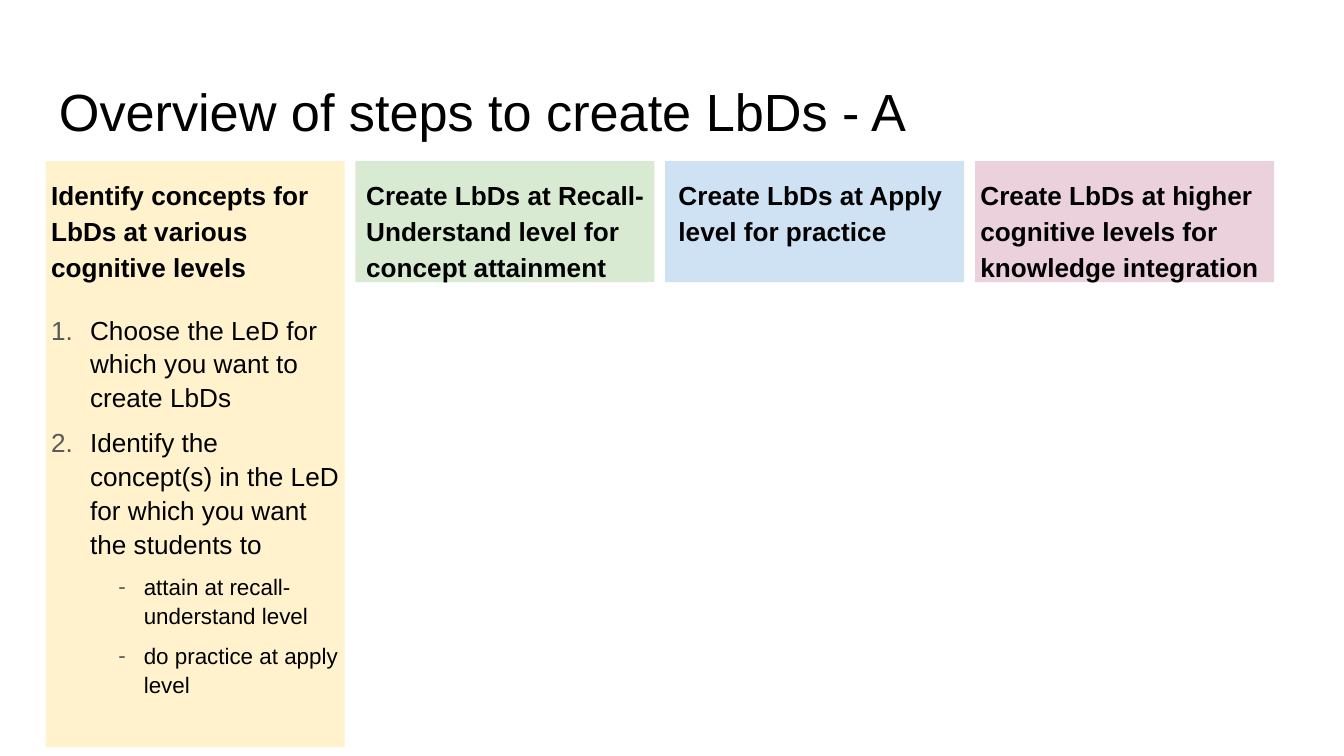
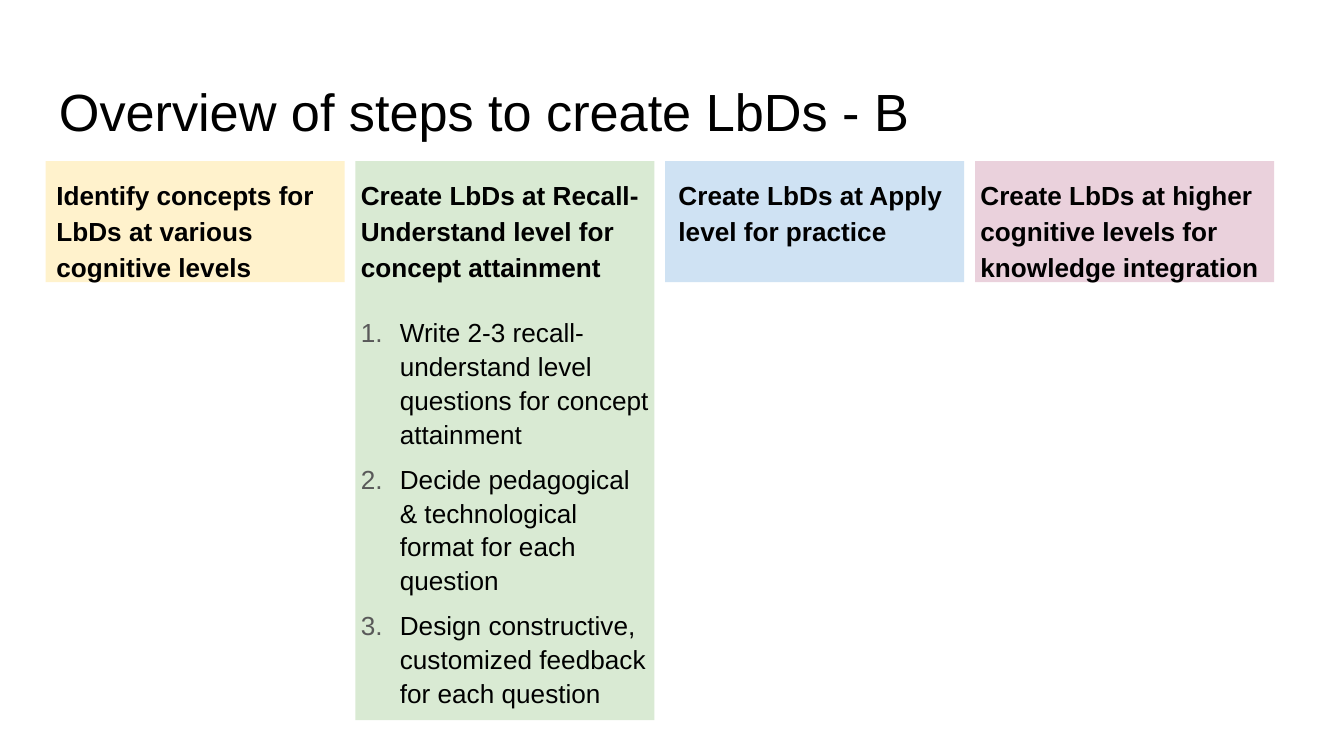
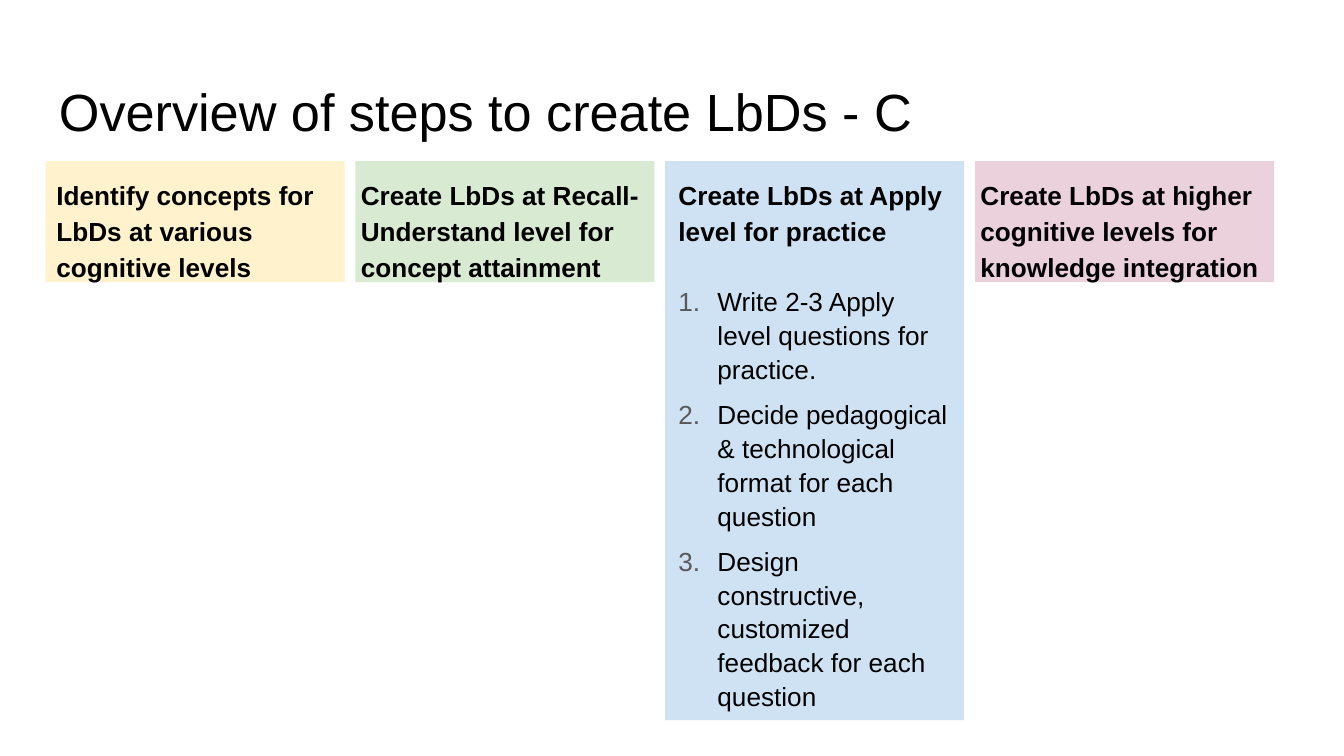
from dataclasses import dataclass

from lxml import etree
from pptx import Presentation
from pptx import util as u
from pptx.dml.color import RGBColor
from pptx.enum import shapes, text
from pptx.oxml import ns

FONT = "Arial"
HUES = {
    "ink": "000000",
    "mark": "595959",
    "cream": "FFF2CC",
    "green": "D9EAD3",
    "blue": "CFE2F3",
    "pink": "EAD1DC",
}
LEFT, TOP, SPAN, SPACE, SHORT = 0.34, 1.2, 9.14, 0.08, 0.9


@dataclass(frozen=True)
class Stage:
    head: str
    hue: str
    right: float = 0.03


@dataclass(frozen=True)
class Step:
    words: str
    sub: bool = False


@dataclass(frozen=True)
class Page:
    mark: str
    active: int
    tall: float
    gap: float
    pads: tuple[float, ...]
    steps: tuple[Step, ...]


STAGES = (
    Stage("Identify concepts for LbDs at various cognitive levels", "cream"),
    Stage("Create LbDs at Recall-Understand level for concept attainment", "green"),
    Stage("Create LbDs at Apply level for practice", "blue", 0.1),
    Stage("Create LbDs at higher cognitive levels for knowledge integration", "pink"),
)
WIDE = (SPAN - SPACE * (len(STAGES) - 1)) / len(STAGES)

SHARED = (
    Step("Decide pedagogical & technological format for each question"),
    Step("Design constructive, customized feedback for each question"),
)

PAGES = (
    Page("A", 0, 4.36, 15.4, (0.04, 0.08, 0.1, 0.04), (
        Step("Choose the LeD for which you want to create LbDs"),
        Step("Identify the concept(s) in the LeD for which you want the students to"),
        Step("attain at recall-understand level", True),
        Step("do practice at apply level", True),
    )),
    Page("B", 1, 4.16, 16.7, (0.08, 0.04, 0.1, 0.04), (
        Step("Write 2-3 recall-understand level questions for concept attainment"),
        *SHARED,
    )),
    Page("C", 2, 4.16, 19.5, (0.08, 0.04, 0.1, 0.04), (
        Step("Write 2-3 Apply level questions for practice."),
        *SHARED,
    )),
)


def set_frame(frame, left: float, right: float) -> None:
    frame.word_wrap = True
    frame.auto_size = text.MSO_AUTO_SIZE.NONE
    frame.vertical_anchor = text.MSO_ANCHOR.TOP
    frame.margin_left, frame.margin_right = u.Inches(left), u.Inches(right)
    frame.margin_top = frame.margin_bottom = u.Inches(0.1)


def write(para, words: str, size: float, bold: bool = False) -> None:
    para.text = words
    para.alignment = text.PP_ALIGN.LEFT
    for run in para.runs:
        run.font.name = FONT
        run.font.size = u.Pt(size)
        run.font.bold = bold
        run.font.color.rgb = RGBColor.from_string(HUES["ink"])


def add_mark(para, sub: bool) -> None:
    props = para._p.get_or_add_pPr()
    margin, hang = (0.69, 0.19) if sub else (0.29, 0.29)
    props.set("marL", str(u.Inches(margin)))
    props.set("indent", str(-u.Inches(hang)))
    hue = etree.SubElement(props, ns.qn("a:buClr"))
    etree.SubElement(hue, ns.qn("a:srgbClr"), val=HUES["mark"])
    etree.SubElement(props, ns.qn("a:buFont"), typeface=FONT)
    if sub:
        etree.SubElement(props, ns.qn("a:buChar"), char="-")
    else:
        etree.SubElement(props, ns.qn("a:buAutoNum"), type="arabicPeriod")


def add_step(frame, step: Step, before: float) -> None:
    para = frame.add_paragraph()
    write(para, step.words, 12 if step.sub else 14)
    para.level = int(step.sub)
    para.line_spacing = 1.08
    para.space_before = u.Pt(before)
    add_mark(para, step.sub)


def add_title(slide, mark: str) -> None:
    box = slide.shapes.add_textbox(
        u.Inches(LEFT), u.Inches(0.49), u.Inches(9.32), u.Inches(0.63))
    set_frame(box.text_frame, 0.1, 0.1)
    write(box.text_frame.paragraphs[0], f"Overview of steps to create LbDs - {mark}", 28)


def add_stage(slide, index: int, stage: Stage, page: Page) -> None:
    active = index == page.active
    left = LEFT + index * (WIDE + SPACE)
    card = slide.shapes.add_shape(
        shapes.MSO_SHAPE.RECTANGLE, u.Inches(left), u.Inches(TOP),
        u.Inches(WIDE), u.Inches(page.tall if active else SHORT))
    card.shadow.inherit = False
    card.fill.solid()
    card.fill.fore_color.rgb = RGBColor.from_string(HUES[stage.hue])
    card.line.fill.background()
    frame = card.text_frame
    set_frame(frame, page.pads[index], stage.right)
    head = frame.paragraphs[0]
    write(head, stage.head, 14, True)
    head.line_spacing = 1.15
    if active:
        for order, step in enumerate(page.steps):
            add_step(frame, step, 6 if order else page.gap)


def main() -> None:
    deck = Presentation()
    deck.slide_width = u.Inches(10)
    deck.slide_height = deck.slide_width * 9 // 16
    for page in PAGES:
        slide = deck.slides.add_slide(deck.slide_layouts[6])
        add_title(slide, page.mark)
        for index, stage in enumerate(STAGES):
            add_stage(slide, index, stage, page)
    deck.save("out.pptx")


if __name__ == "__main__":
    main()
